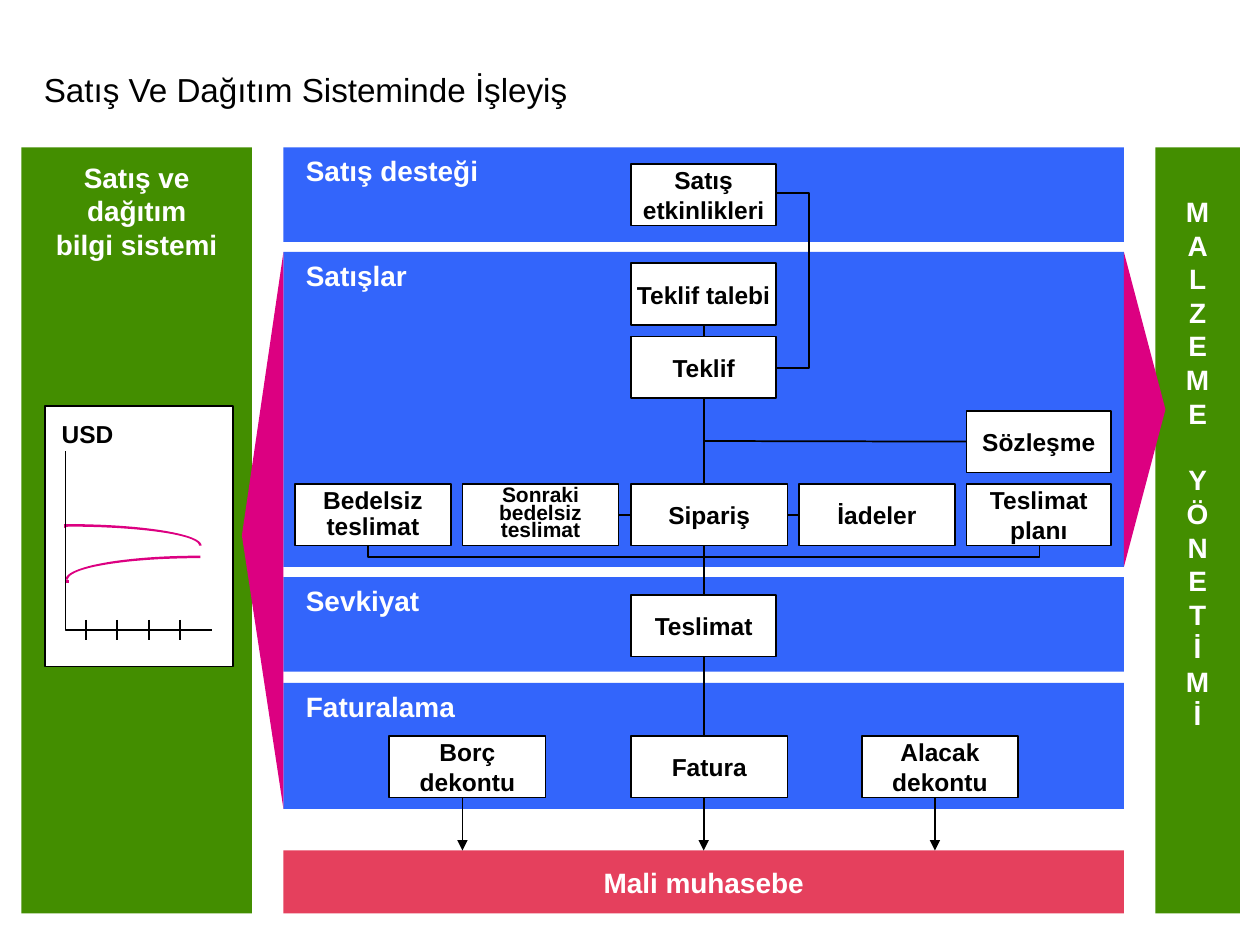
from dataclasses import dataclass
from math import cos, pi, sin

from lxml.etree import SubElement
from pptx import Presentation
from pptx.dml.color import RGBColor
from pptx.enum.shapes import MSO_CONNECTOR, MSO_SHAPE
from pptx.enum.text import MSO_ANCHOR, PP_ALIGN
from pptx.oxml.ns import qn
from pptx.util import Inches, Pt

COLORS = {
    "white": "FFFFFF",
    "black": "000000",
    "green": "438E00",
    "blue": "3365FB",
    "red": "E5405D",
    "magenta": "DC0081",
}
TOP, BOTTOM = 0, 2
LEFT, RIGHT = 1, 3
BOX_H = 0.49
NARROW, WIDE = 1.15, 1.24
AXIS_X = 5.58  # main document flow
ROW_Y = 3.84  # order row


@dataclass(frozen=True)
class TextStyle:
    size: float = 14
    color: str = "black"
    bold: bool = True
    align: PP_ALIGN = PP_ALIGN.CENTER
    anchor: MSO_ANCHOR = MSO_ANCHOR.MIDDLE
    margin_y: float = 0.05
    spacing: float | None = None
    wrap: bool = False


@dataclass(frozen=True)
class Step:
    """A white box of the document flow."""
    text: str
    left: float
    top: float
    width: float = NARROW
    style: TextStyle = TextStyle()


@dataclass(frozen=True)
class Band:
    """A blue process area with its heading."""
    heading: str
    top: float
    height: float
    heading_width: float


def rgb(name: str) -> RGBColor:
    return RGBColor.from_string(COLORS[name])


def write(shape, text: str, style: TextStyle) -> None:
    frame = shape.text_frame
    frame_format = {
        "word_wrap": style.wrap,
        "vertical_anchor": style.anchor,
        "margin_left": Inches(0.1),
        "margin_right": Inches(0.1),
        "margin_top": Inches(style.margin_y),
        "margin_bottom": Inches(style.margin_y),
    }
    font_format = {"name": "Arial", "size": Pt(style.size), "bold": style.bold}
    for name, value in frame_format.items():
        setattr(frame, name, value)
    frame.text = text
    for paragraph in frame.paragraphs:
        paragraph.alignment = style.align
        if style.spacing:
            paragraph.line_spacing = style.spacing
        for name, value in font_format.items():
            setattr(paragraph.font, name, value)
        paragraph.font.color.rgb = rgb(style.color)


def paint(shape, fill: str | None, line: str | None = None):
    shape.shadow.inherit = False
    if fill:
        shape.fill.solid()
        shape.fill.fore_color.rgb = rgb(fill)
    else:
        shape.fill.background()
    if line:
        shape.line.color.rgb = rgb(line)
        shape.line.width = Pt(1)
    else:
        shape.line.fill.background()
    return shape


def block(shapes, left: float, top: float, width: float, height: float,
          fill: str, line: str | None = None):
    area = (Inches(v) for v in (left, top, width, height))
    return paint(shapes.add_shape(MSO_SHAPE.RECTANGLE, *area), fill, line)


def label(shapes, text: str, left: float, top: float, width: float,
          height: float, style: TextStyle) -> None:
    area = (Inches(v) for v in (left, top, width, height))
    write(shapes.add_textbox(*area), text, style)


def outline(shapes, points: list[tuple[float, float]], fill: str | None = None,
            line: str | None = None) -> None:
    corners = [(Inches(x), Inches(y)) for x, y in points]
    builder = shapes.build_freeform(*corners[0], scale=1.0)
    builder.add_line_segments(corners[1:], close=fill is not None)
    paint(builder.convert_to_shape(), fill, line)


def link(shapes, x1: float, y1: float, x2: float, y2: float,
         begin=None, end=None, arrow: bool = False) -> None:
    """Draw a straight line; begin and end are (box, side) joints."""
    line = shapes.add_connector(
        MSO_CONNECTOR.STRAIGHT, *(Inches(v) for v in (x1, y1, x2, y2)))
    if begin:
        line.begin_connect(*begin)
    if end:
        line.end_connect(*end)
    line.line.color.rgb = rgb("black")
    line.line.width = Pt(1)
    properties = line._element.spPr
    if arrow:
        SubElement(properties.find(qn("a:ln")), qn("a:tailEnd"), type="triangle")
    SubElement(properties, qn("a:effectLst"))


def draw_step(shapes, step: Step):
    box = block(shapes, step.left, step.top, step.width, BOX_H, "white", "black")
    write(box, step.text, step.style)
    return box


def curve(shapes, cx: float, cy: float, rx: float, ry: float, side: int) -> None:
    """Draw a thin quarter-ellipse ribbon, to the right (1) or left (-1)."""
    turns = [pi / 2 * i / 24 for i in range(25)]
    outer = [(cx + side * rx * sin(t), cy - ry * cos(t)) for t in turns]
    inner = [(cx + side * (rx - 0.02) * sin(t), cy - (ry - 0.02) * cos(t))
             for t in reversed(turns)]
    outline(shapes, outer + inner, fill="magenta")


def draw_usd_chart(shapes) -> None:
    block(shapes, 0.36, 3.22, 1.49, 2.07, "white", "black")
    curve(shapes, 0.53, 4.33, 1.07, 0.17, 1)
    outline(shapes, [(0.51, 4.16), (0.53, 4.16), (0.54, 4.18), (0.51, 4.19)],
            fill="magenta")
    curve(shapes, 1.59, 4.6, 1.07, 0.19, -1)
    outline(shapes, [(0.52, 4.6), (0.55, 4.6), (0.55, 4.63), (0.52, 4.63)],
            fill="magenta")
    label(shapes, "USD", 0.39, 3.28, 0.61, 0.33,
          TextStyle(align=PP_ALIGN.LEFT, anchor=MSO_ANCHOR.TOP))
    for tick in range(4):
        x = 0.68 + 0.25 * tick
        link(shapes, x, 4.92, x, 5.08)
    outline(shapes, [(0.52, 3.58), (0.52, 5), (1.68, 5)], line="black")


def main() -> None:
    deck = Presentation()
    deck.slide_width, deck.slide_height = Inches(10), Inches(7.5)
    shapes = deck.slides.add_slide(deck.slide_layouts[6]).shapes

    # Materials management column, one letter a line
    materials = block(shapes, 9.17, 1.17, 0.67, 6.08, "green")
    first_word, second_word = "MALZEME", "YÖNETİMİ"
    write(materials, "\n".join(first_word + second_word),
          TextStyle(16, "white", margin_y=0.1, wrap=True))
    materials.text_frame.margin_bottom = Inches(1.17)
    materials.text_frame.paragraphs[len(first_word)].space_before = Pt(19)

    # Title
    label(shapes, "Satış Ve Dağıtım Sisteminde İşleyiş", 0.25, 0.42, 9.67, 0.58,
          TextStyle(19, bold=False, align=PP_ALIGN.LEFT, wrap=True))

    # Information system column
    information = block(shapes, 0.17, 1.17, 1.83, 6.08, "green")
    write(information, "Satış ve\ndağıtım\nbilgi sistemi",
          TextStyle(16, "white", anchor=MSO_ANCHOR.TOP, margin_y=0.1, wrap=True))
    draw_usd_chart(shapes.add_group_shape().shapes)

    # Process areas
    bands = [
        Band("Satış desteği", 1.17, 0.75, 1.57),
        Band("Satışlar", 2, 2.5, 1),
        Band("Sevkiyat", 4.58, 0.75, 1.1),
        Band("Faturalama", 5.42, 1, 1.39),
    ]
    heading = TextStyle(16, "white", align=PP_ALIGN.LEFT, anchor=MSO_ANCHOR.TOP)
    for band in bands:
        block(shapes, 2.25, band.top, 6.67, band.height, "blue")
        label(shapes, band.heading, 2.33, band.top, band.heading_width, 0.37, heading)
    accounting = block(shapes, 2.25, 6.75, 6.67, 0.5, "red")
    write(accounting, "Mali muhasebe", TextStyle(16, "white"))

    # Steps that the lines are joined to
    inquiry = draw_step(shapes, Step("Teklif talebi", 5.01, 2.09))
    contract = draw_step(shapes, Step("Sözleşme", 7.67, 3.26))
    later_delivery = draw_step(shapes, Step(
        "Sonraki\nbedelsiz\nteslimat", 3.67, ROW_Y, WIDE, TextStyle(12, spacing=0.7)))
    returns = draw_step(shapes, Step("İadeler", 6.34, ROW_Y, WIDE))

    # Flow lines, running behind the remaining steps
    link(shapes, AXIS_X, 2.58, AXIS_X, 6.75,
         (inquiry, BOTTOM), (accounting, TOP), arrow=True)
    for x in (3.67, 7.42):
        link(shapes, x, 6.25, x, 6.75, arrow=True)
    link(shapes, 4.91, 4.08, 6.34, 4.08, (later_delivery, RIGHT), (returns, LEFT))
    link(shapes, AXIS_X, 3.5, 7.67, 3.5, end=(contract, LEFT))
    outline(shapes, [(2.92, 4.25), (2.92, 4.42), (8.25, 4.42), (8.25, 4.25)],
            line="black")
    outline(shapes, [(6.08, 1.53), (6.42, 1.53), (6.42, 2.92), (6.08, 2.92)],
            line="black")

    # Remaining steps
    for step in (
        Step("Satış\netkinlikleri", 5.01, 1.3),
        Step("Teklif", 5.01, 2.67),
        Step("Bedelsiz\nteslimat", 2.34, ROW_Y, WIDE, TextStyle(spacing=0.9)),
        Step("Sipariş", 5.01, ROW_Y, WIDE),
        Step("Teslimat\nplanı", 7.67, ROW_Y),
        Step("Teslimat", 5.01, 4.72),
        Step("Borç\ndekontu", 3.09, 5.84, WIDE),
        Step("Fatura", 5.01, 5.84, WIDE),
        Step("Alacak\ndekontu", 6.84, 5.84, WIDE),
    ):
        draw_step(shapes, step)

    # Wedges pointing to the side columns
    outline(shapes, [(9.25, 3.25), (8.92, 2), (8.92, 4.5)], fill="magenta")
    outline(shapes, [(1.92, 4.25), (2.25, 2), (2.25, 6.42)], fill="magenta")

    deck.save("out.pptx")


if __name__ == "__main__":
    main()
